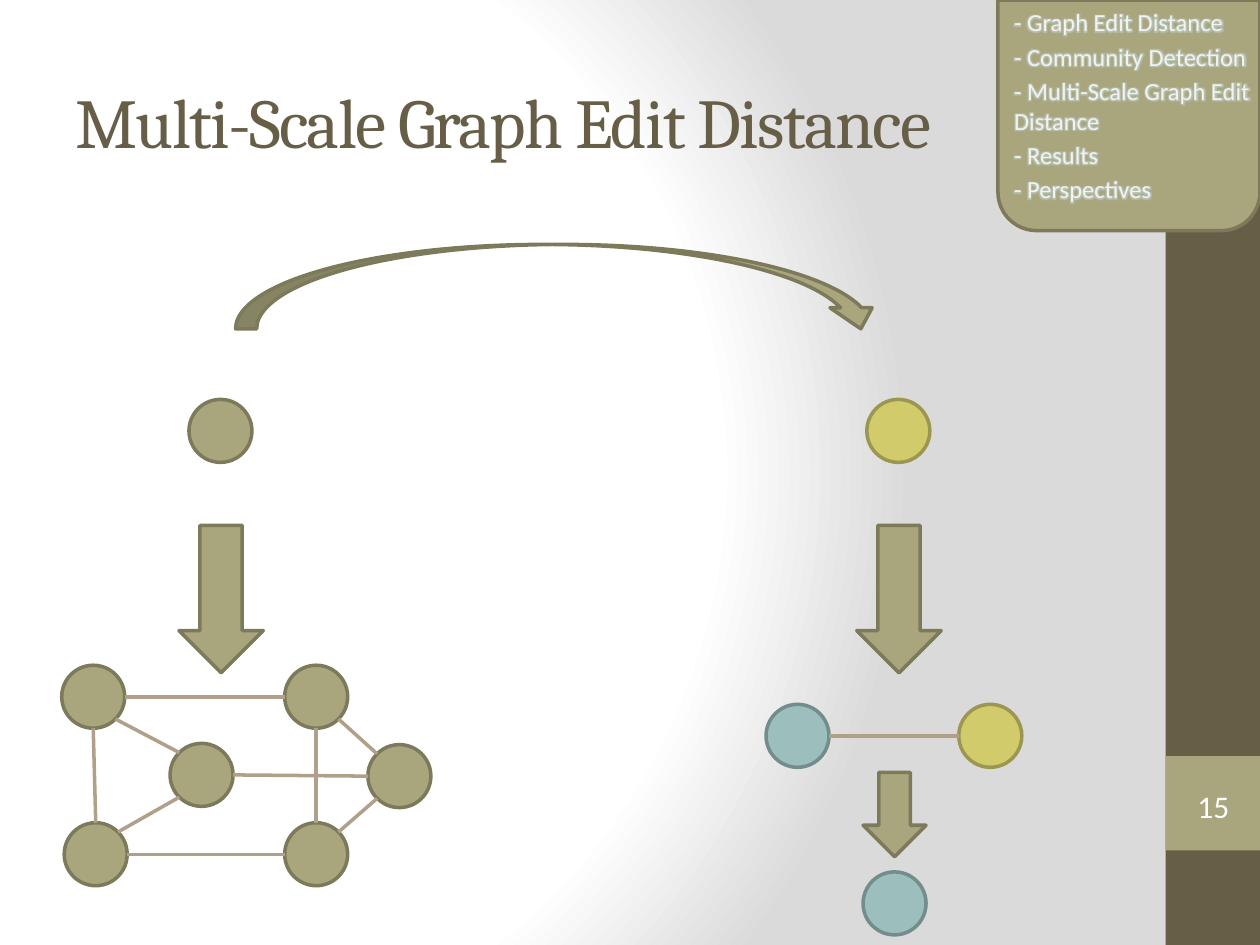
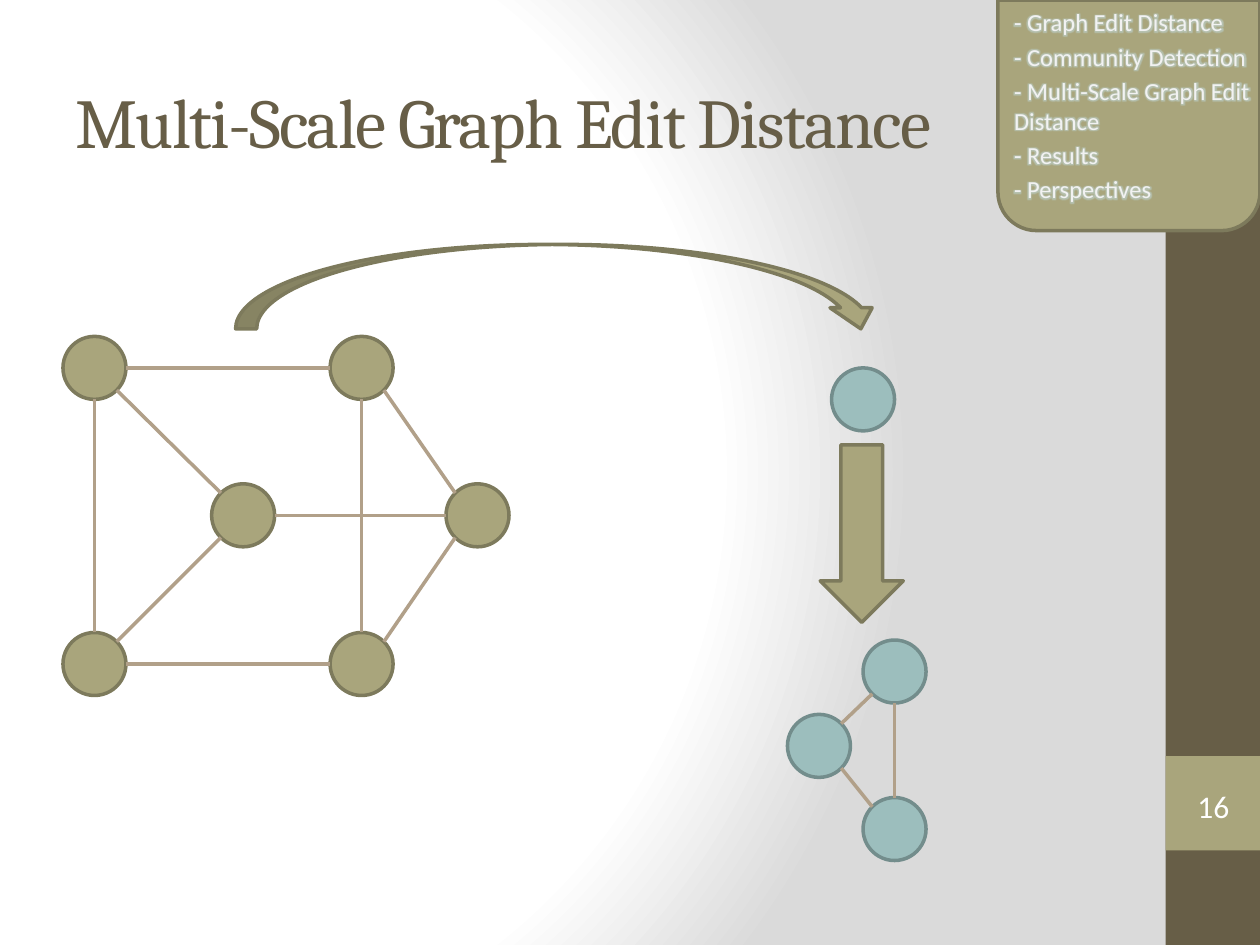
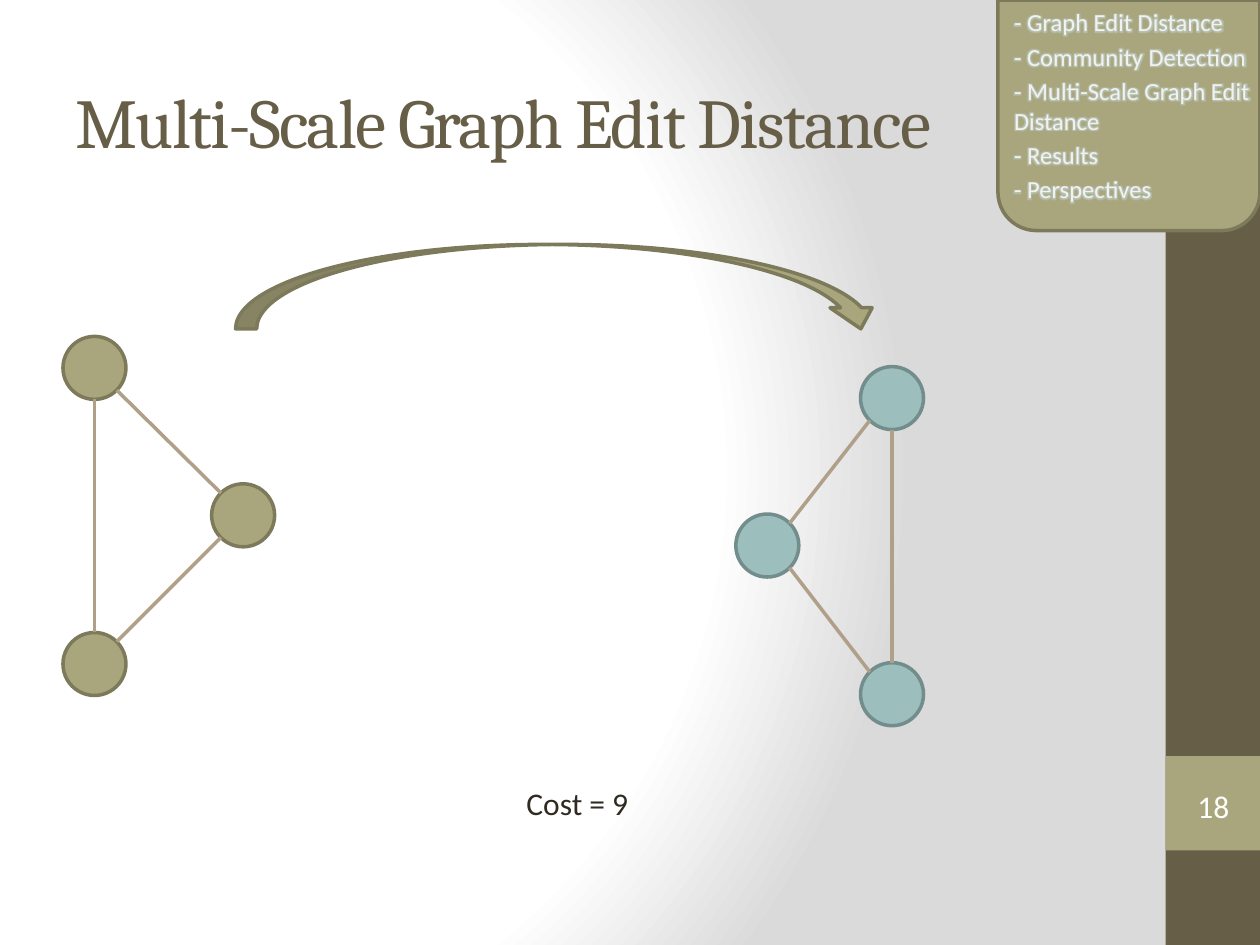
"""Builds three slides on multi-scale graph edit distance."""
from math import atan2, cos, pi, sin

from lxml import etree
from pptx import Presentation
from pptx.dml.color import RGBColor
from pptx.enum.shapes import MSO_CONNECTOR, MSO_SHAPE
from pptx.enum.text import MSO_ANCHOR, PP_ALIGN
from pptx.oxml import parse_xml
from pptx.oxml.ns import qn
from pptx.util import Inches, Pt

RECTANGLE = MSO_SHAPE.RECTANGLE
TAB = MSO_SHAPE.ROUND_2_SAME_RECTANGLE
CURVED_ARROW = MSO_SHAPE.CURVED_LEFT_ARROW
DOWN_ARROW = MSO_SHAPE.DOWN_ARROW
NODE = MSO_SHAPE.FLOWCHART_CONNECTOR
BRACKETS = MSO_SHAPE.DOUBLE_BRACKET
STRAIGHT = MSO_CONNECTOR.STRAIGHT
MIDDLE = MSO_ANCHOR.MIDDLE
CENTER = PP_ALIGN.CENTER

COLORS = {
    "brown": "675E47", "ink": "2F2B20", "edge": "B1A089",
    "white": "FFFFFF", "grey": "DADADA", "menu": "F2F2F2", "glow": "BFD5D4",
    "olive": "A9A57C", "olive_line": "7D7A5C",
    "yellow": "D2CB6C", "yellow_line": "9B9650",
    "teal": "9CBEBD", "teal_line": "738D8C",
}
DRAWING = "http://schemas.openxmlformats.org/drawingml/2006/main"
TITLE = "Multi-Scale Graph Edit Distance"
SECTIONS = ("Graph Edit Distance", "Community Detection", TITLE, "Results", "Perspectives")
NODE_SIZE = 0.5
SINGLE = ((0, 0),)
TRIANGLE_EDGES = ((0, 1), (0, 2), (1, 2))
DOUBLE_EDGES = TRIANGLE_EDGES + ((0, 3), (3, 4), (1, 5), (2, 4), (3, 5), (4, 5))
WIDE_GRAPH = ((0, 0), (1.18, 1.17), (0, 2.35), (2.12, 0), (2.12, 2.35), (3.04, 1.17))


def rgb(name):
    """Return the named colour."""
    return RGBColor.from_string(COLORS[name])


def style_para(para, size, color, font="Calibri"):
    """Set the font of a whole paragraph."""
    para.font.size = Pt(size)
    para.font.name = font
    para.font.color.rgb = rgb(color)


def add_box(page, kind, box, tone, outlined=True):
    """Add a filled shape, with the darker line of its tone if outlined."""
    shape = page.shapes.add_shape(kind, *map(Inches, box))
    shape.shadow.inherit = False
    shape.fill.solid()
    shape.fill.fore_color.rgb = rgb(tone)
    if outlined:
        shape.line.color.rgb = rgb(f"{tone}_line")
        shape.line.width = Pt(2)
    else:
        shape.line.fill.background()
    return shape


def add_text(page, box, text, size, color, font="Calibri", wrap=True):
    """Add a text box holding one paragraph."""
    frame = page.shapes.add_textbox(*map(Inches, box)).text_frame
    frame.word_wrap = wrap
    para = frame.paragraphs[0]
    para.text = text
    style_para(para, size, color, font)
    return frame


def set_background(master):
    """Give the slide master a radial gradient."""
    master.background.fill.solid()
    stops = "".join(
        f'<a:gs pos="{place * 1000}"><a:srgbClr val="{COLORS[name]}"/></a:gs>'
        for place, name in ((0, "white"), (75, "white"), (100, "grey")))
    gradient = parse_xml(
        f'<a:gradFill xmlns:a="{DRAWING}" rotWithShape="1"><a:gsLst>{stops}</a:gsLst>'
        '<a:path path="circle"><a:fillToRect l="20000" t="50000" r="100000" b="50000"/>'
        '</a:path></a:gradFill>')
    properties = master.element.find(".//" + qn("p:bgPr"))
    properties.replace(properties[0], gradient)


def draw_side_band(page, box, number):
    """Draw the side band with its page number."""
    left, top, width, height = box
    add_box(page, RECTANGLE, box, "brown", outlined=False)
    add_box(page, RECTANGLE, (left, top + 6, width, width), "olive", outlined=False)
    badge = page.shapes.add_shape(
        BRACKETS, *map(Inches, (left + 0.08, top + 6.18, 0.6, 0.43)))
    badge.shadow.inherit = False
    badge.fill.background()
    badge.line.fill.background()
    frame = badge.text_frame
    frame.margin_left = frame.margin_right = frame.margin_top = frame.margin_bottom = 0
    frame.vertical_anchor = MIDDLE
    para = frame.paragraphs[0]
    para.text = str(number)
    para.alignment = CENTER
    style_para(para, 18, "white")


def draw_title(page, box):
    """Draw the slide title."""
    frame = add_text(page, box, TITLE, 40, "brown", "Cambria")
    frame.vertical_anchor = MIDDLE
    frame.paragraphs[0].runs[0].font._element.set("spc", "-100")


def add_glow(span):
    """Put a soft glow around a run of text."""
    effects = etree.SubElement(span.font._element, qn("a:effectLst"))
    glow = etree.SubElement(effects, qn("a:glow"), rad="63500")
    color = etree.SubElement(glow, qn("a:srgbClr"), val=COLORS["glow"])
    etree.SubElement(color, qn("a:alpha"), val="60000")


def draw_menu(page, box):
    """Draw the corner tab listing the sections."""
    left, top, width, height = box
    add_box(page, TAB, box, "olive").rotation = 180
    frame = page.shapes.add_textbox(
        *map(Inches, (left - 0.09, top + 0.01, width + 0.17, height - 0.01))).text_frame
    frame.word_wrap = True
    for index, section in enumerate(SECTIONS):
        para = frame.add_paragraph() if index else frame.paragraphs[0]
        span = para.add_run()
        span.text = f"- {section}"
        para.space_before = Pt(2.8)
        para._p.get_or_add_pPr().set("marL", str(Inches(0.12)))
        style_para(para, 14, "menu")
        add_glow(span)


def draw_frame(page, number):
    """Draw everything the slides share."""
    draw_side_band(page, (9.25, 0, 0.75, 7.5), number)
    draw_title(page, (0.5, 0.33, 7.25, 1.25))
    draw_menu(page, (7.92, 0, 2.08, 1.83))
    add_box(page, CURVED_ARROW, (4.1, -0.29, 0.67, 5.13), "olive").rotation = 270


def add_edge(page, start, end):
    """Join two node centres, touching each rim at the nearest eighth."""
    angle = round(atan2(end[1] - start[1], end[0] - start[0]) / (pi / 4)) * pi / 4
    reach_x, reach_y = (NODE_SIZE / 2 * part for part in (cos(angle), sin(angle)))
    line = page.shapes.add_connector(STRAIGHT, *map(Inches, (
        start[0] + reach_x, start[1] + reach_y, end[0] - reach_x, end[1] - reach_y)))
    line.line.color.rgb = rgb("edge")
    line.line.width = Pt(2)
    etree.SubElement(line._element.spPr, qn("a:effectLst"))


def draw_graph(page, origin, offsets, tones, edges=()):
    """Draw nodes offset from the origin, with one tone for all or one each."""
    if isinstance(tones, str):
        tones = (tones,) * len(offsets)
    centers = []
    for (across, down), tone in zip(offsets, tones):
        left, top = origin[0] + across, origin[1] + down
        add_box(page, NODE, (left, top, NODE_SIZE, NODE_SIZE), tone)
        centers.append((left + NODE_SIZE / 2, top + NODE_SIZE / 2))
    for first, second in edges:
        add_edge(page, centers[first], centers[second])


def draw_expansion(page):
    """Expand a coarse node on each side into its finer graph."""
    for left, tone in ((1.5, "olive"), (6.88, "yellow")):
        draw_graph(page, (left, 3.17), SINGLE, tone)
        add_box(page, DOWN_ARROW, (left - 0.08, 4.17, 0.67, 1.17), "olive")
    offsets = ((0, 0), (0.86, 0.62), (0.02, 1.25), (1.77, 0), (1.77, 1.25), (2.43, 0.63))
    draw_graph(page, (0.49, 5.28), offsets, "olive", DOUBLE_EDGES)
    draw_graph(page, (6.08, 5.59), ((0, 0), (1.53, 0)), ("teal", "yellow"), ((0, 1),))
    add_box(page, DOWN_ARROW, (6.85, 6.13, 0.5, 0.67), "olive")
    draw_graph(page, (6.85, 6.92), SINGLE, "teal")


def draw_refinement(page):
    """Match the fine graph with a node that opens into a triangle."""
    add_box(page, DOWN_ARROW, (6.51, 3.53, 0.66, 1.41), "olive")
    draw_graph(page, (6.6, 2.92), SINGLE, "teal")
    draw_graph(page, (0.5, 2.67), WIDE_GRAPH, "olive", DOUBLE_EDGES)
    offsets = ((0, 0.59), (0.6, 0), (0.6, 1.25))
    draw_graph(page, (6.25, 5.08), offsets, "teal", TRIANGLE_EDGES)


def draw_matching(page):
    """Match two triangles and state the cost."""
    draw_graph(page, (0.5, 2.67), WIDE_GRAPH[:3], "olive", TRIANGLE_EDGES)
    offsets = ((0, 1.17), (0.99, 0), (0.99, 2.35))
    draw_graph(page, (5.84, 2.91), offsets, "teal", TRIANGLE_EDGES)
    add_text(page, (4.08, 6.17, 1.02, 0.4), "Cost = 9", 18, "ink", wrap=False)


def main():
    """Build and save the deck."""
    deck = Presentation()
    deck.slide_width, deck.slide_height = Inches(10), Inches(7.5)
    set_background(deck.slide_master)
    for number, draw in ((15, draw_expansion), (16, draw_refinement), (18, draw_matching)):
        page = deck.slides.add_slide(deck.slide_layouts[6])
        draw_frame(page, number)
        draw(page)
    deck.save("out.pptx")


if __name__ == "__main__":
    main()
